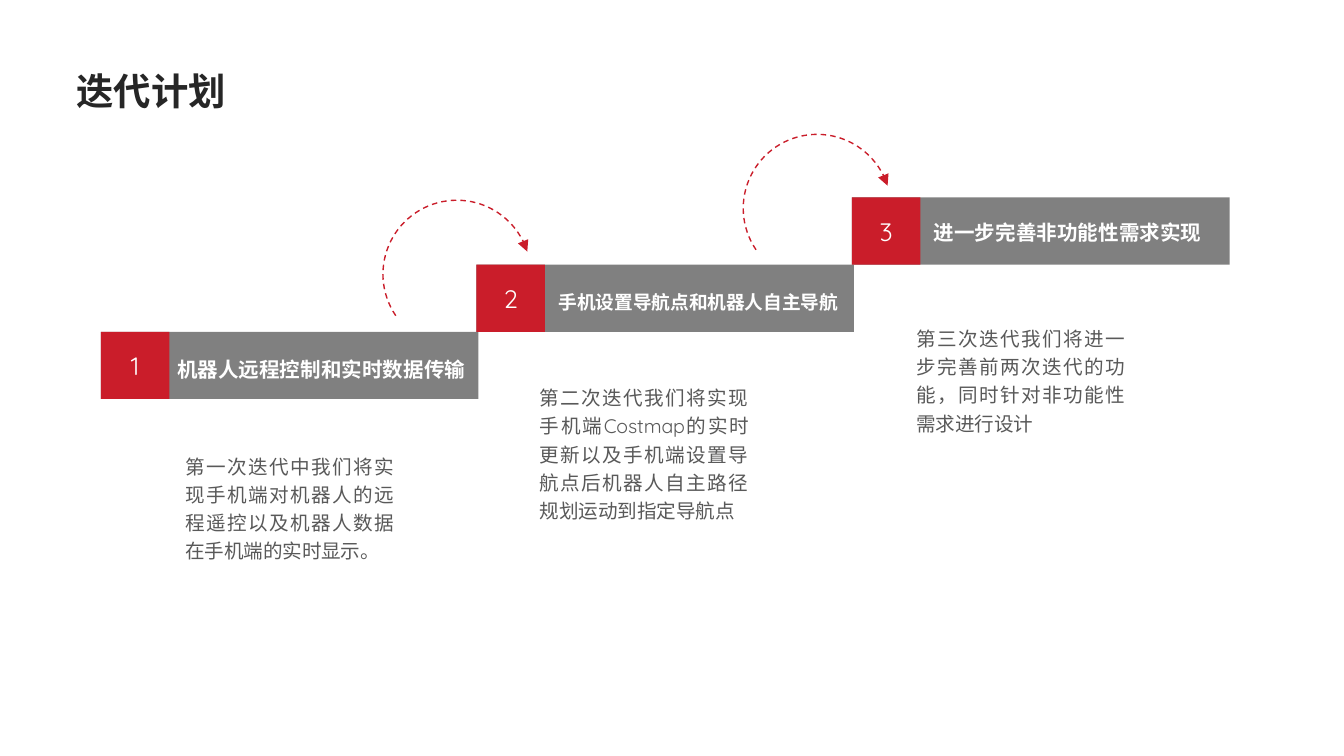
from lxml.etree import SubElement
from pptx import Presentation
from pptx.dml.color import RGBColor
from pptx.enum.dml import MSO_LINE
from pptx.enum.shapes import MSO_SHAPE
from pptx.enum.text import MSO_ANCHOR, MSO_AUTO_SIZE, PP_ALIGN
from pptx.oxml.ns import qn
from pptx.util import Pt

# Content: heading, its size and box; body and its box (left, top, width, height)
TITLE = "迭代计划"
STEPS = [
    ("机器人远程控制和实时数据传输", 11, (87.8, 185, 171.4, 21.6),
     "第一次迭代中我们将实现手机端对机器人的远程遥控以及机器人数据在手机端的实时显示。",
     (92.2, 237.6, 126, 67)),
    ("手机设置导航点和机器人自主导航", 10, (292.3, 149.8, 237.6, 20.9),
     "第二次迭代我们将实现手机端Costmap的实时更新以及手机端设置导航点后机器人自主路径规划运动到指定导航点",
     (282.2, 200.9, 126, 82)),
    ("进一步完善非功能性需求实现", 11, (493.2, 111.6, 202.3, 21.6),
     "第三次迭代我们将进一步完善前两次迭代的功能，同时针对非功能性需求进行设计",
     (483.8, 169.2, 126, 67)),
]
ARCS = [(205.2, 107.3), (398.2, 72)]
RED, GRAY, WHITE, DARK, TEXT = "CA1D2A", "808080", "FFFFFF", "262626", "595959"
LEFT, TOP, WIDE, HIGH, NUM = 54, 177.8, 202.3, 36, 36.7
STEP, ARC = 201.2, 79.2

deck = Presentation()
deck.slide_width, deck.slide_height = Pt(720), Pt(405)
slide = deck.slides.add_slide(deck.slide_layouts[6])


def color(code):
    return RGBColor.from_string(code)


def write(frame, text, size=10.5, ink=TEXT, bold=False, align=None, lead=None):
    para = frame.paragraphs[0]
    para.alignment, para.line_spacing = align, lead
    run = para.add_run()
    run.text = text
    font = run.font
    font.name, font.size, font.bold = "Quicksand", Pt(size), bold
    font.color.rgb = color(ink)


def label(text, box, wrap=True, **style):
    frame = slide.shapes.add_textbox(*map(Pt, box)).text_frame
    frame.word_wrap = wrap
    frame.auto_size = MSO_AUTO_SIZE.SHAPE_TO_FIT_TEXT
    write(frame, text, **style)


def block(left, top, width, fill):
    shape = slide.shapes.add_shape(
        MSO_SHAPE.RECTANGLE, Pt(left), Pt(top), Pt(width), Pt(HIGH))
    shape.shadow.inherit = False
    shape.fill.solid()
    shape.fill.fore_color.rgb = color(fill)
    shape.line.fill.background()
    return shape


def arrow(left, top):
    arc = slide.shapes.add_shape(
        MSO_SHAPE.ARC, Pt(left), Pt(top), Pt(ARC), Pt(ARC))
    arc.shadow.inherit = False
    arc.adjustments[0], arc.adjustments[1] = 87.48, 205.33
    arc.fill.background()
    line = arc.line
    line.color.rgb = color(RED)
    line.width, line.dash_style = Pt(0.75), MSO_LINE.DASH
    SubElement(line._get_or_add_ln(), qn("a:tailEnd"), type="triangle")


# Staircase of bars with numbers
for i in range(len(STEPS)):
    left, top = LEFT + i * STEP, TOP - i * HIGH
    block(left, top, WIDE, GRAY)
    frame = block(left, top, NUM, RED).text_frame
    frame.vertical_anchor = MSO_ANCHOR.MIDDLE
    frame.margin_left = frame.margin_right = Pt(5)
    frame.margin_top = frame.margin_bottom = Pt(3)
    write(frame, str(i + 1), size=13.5, ink=WHITE, align=PP_ALIGN.CENTER)

# Curved arrows between steps
for spot in ARCS:
    arrow(*spot)

# Headings and descriptions
for head, size, place, body, box in STEPS:
    label(body, box, align=PP_ALIGN.JUSTIFY, lead=1.2)
    label(head, place, size=size, ink=WHITE, bold=True,
          align=PP_ALIGN.JUSTIFY, lead=1.2)

# Title
label(TITLE, (33.8, 33.1, 95, 31.7), wrap=False, size=20, ink=DARK, bold=True)

deck.save("out.pptx")
